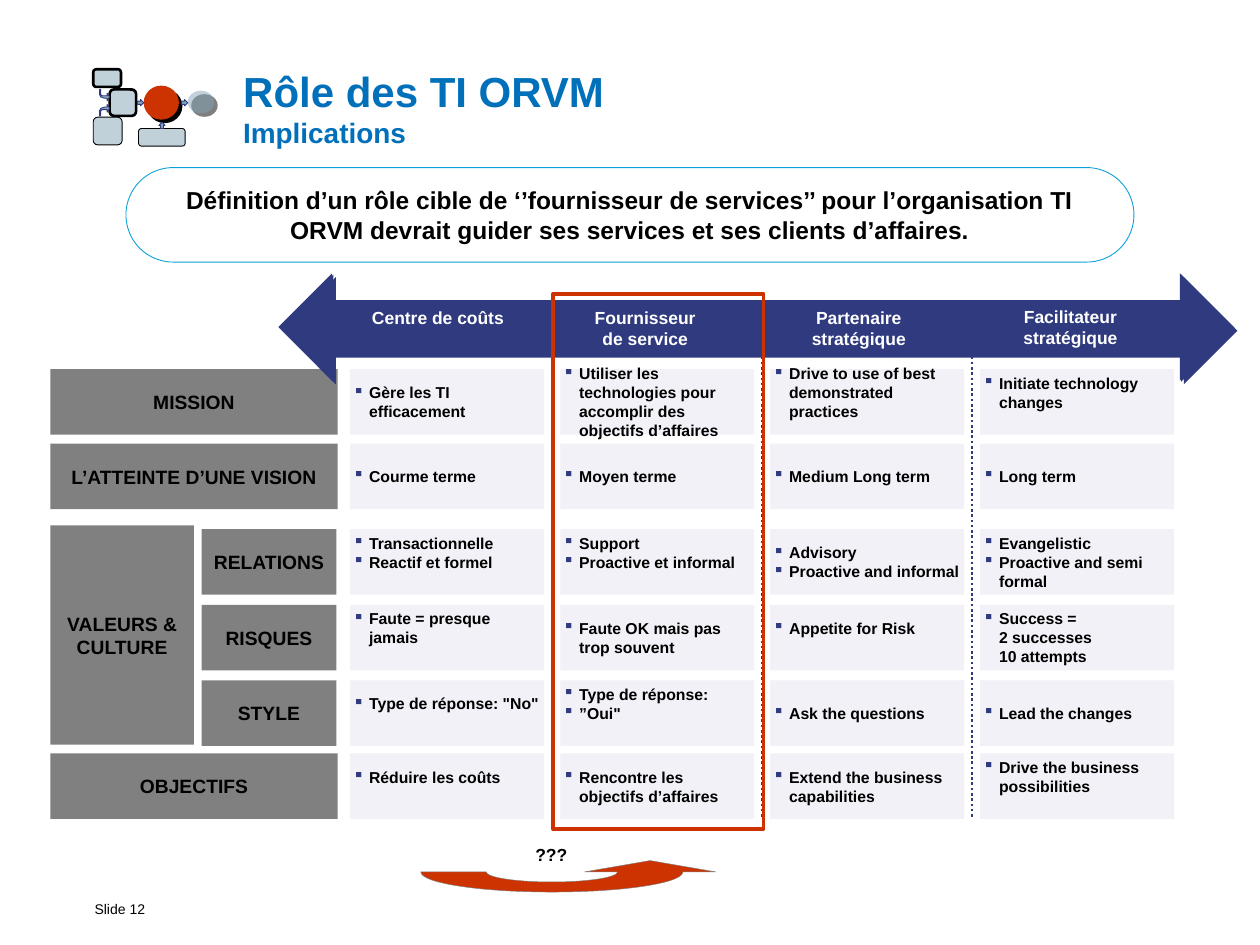
from dataclasses import dataclass
from math import cos, pi, sin
from lxml.etree import SubElement
from pptx import Presentation
from pptx.dml.color import RGBColor
from pptx.enum.dml import MSO_LINE
from pptx.enum.shapes import MSO_CONNECTOR, MSO_SHAPE
from pptx.enum.text import MSO_ANCHOR, MSO_AUTO_SIZE, PP_ALIGN
from pptx.oxml.ns import qn
from pptx.util import Inches, Pt


@dataclass
class Theme:
    font: str = "Arial"
    navy: str = "2F3A7F"
    blue: str = "0070BA"
    sky: str = "0CA2D6"
    red: str = "CC3300"
    grey: str = "808080"
    pale: str = "F1F1F7"
    steel: str = "83A4B6"
    black: str = "000000"
    white: str = "FFFFFF"
    title: int = 24
    sub: int = 16
    lead: int = 14
    label: int = 11
    head: int = 10
    cell: int = 9
    foot: int = 8


def paint(shape, fill=None, line=None, width=0.5, alpha=100):
    shape.shadow.inherit = False
    if fill:
        shape.fill.solid()
        shape.fill.fore_color.rgb = RGBColor.from_string(fill)
        if alpha < 100:
            color = shape.fill._xPr.find(".//" + qn("a:srgbClr"))
            SubElement(color, qn("a:alpha"), val=str(alpha * 1000))
    else:
        shape.fill.background()
    if line:
        shape.line.color.rgb = RGBColor.from_string(line)
        shape.line.width = Pt(width)
    else:
        shape.line.fill.background()
    return shape


def write(shape, lines, size, color, align=PP_ALIGN.CENTER, pad=(0, 0, 0, 0),
          wrap=True, anchor=MSO_ANCHOR.MIDDLE, bold=True, bullet=False):
    frame = shape.text_frame
    frame.word_wrap = wrap
    frame.vertical_anchor = anchor
    frame.margin_left, frame.margin_top, frame.margin_right, frame.margin_bottom = map(Inches, pad)
    for i, line in enumerate(lines):
        para = frame.add_paragraph() if i else frame.paragraphs[0]
        para.text = line
        para.alignment = align
        if bullet:
            props = para._p.get_or_add_pPr()
            props.set("marL", str(Inches(0.13)))
            props.set("indent", str(-Inches(0.13)))
            tint = SubElement(props, qn("a:buClr"))
            SubElement(tint, qn("a:srgbClr"), val=theme.navy)
            SubElement(props, qn("a:buChar"), char="▪")
        para.font.name = theme.font
        para.font.size = Pt(size)
        para.font.bold = bold
        para.font.color.rgb = RGBColor.from_string(color)


theme = Theme()
deck = Presentation()
deck.slide_width, deck.slide_height = Inches(10), Inches(7.5)
slide = deck.slides.add_slide(deck.slide_layouts[5])
shapes = slide.shapes

cols = [2.78 + 5 / 3 * i for i in range(4)]
rows = [2.93, 3.52, 4.2, 4.8, 5.4, 5.98]
wide, high = 1.54, 0.52

title = shapes.title
title.left, title.top, title.width, title.height = map(Inches, (1.93, 0.52, 7.4, 0.64))
write(title, ["Rôle des TI ORVM\nImplications"], theme.title, theme.blue,
      PP_ALIGN.LEFT, anchor=MSO_ANCHOR.TOP)
title.text_frame.auto_size = MSO_AUTO_SIZE.NONE
title.text_frame.paragraphs[0].runs[1].font.size = Pt(theme.sub)

labels = [
    ("MISSION", 0.4, rows[0], 2.28, high),
    ("L’ATTEINTE D’UNE VISION", 0.4, rows[1], 2.28, high),
    ("VALEURS & CULTURE", 0.4, 4.17, 1.14, 1.74),
    ("RELATIONS", 1.6, rows[2], 1.07, high),
    ("RISQUES", 1.6, rows[3], 1.07, high),
    ("STYLE", 1.6, rows[4], 1.07, high),
    ("OBJECTIFS", 0.4, rows[5], 2.28, high),
]
for text, *area in labels:
    box = paint(shapes.add_shape(MSO_SHAPE.RECTANGLE, *map(Inches, area)), theme.grey)
    write(box, [text], theme.label, theme.black, pad=(0.03, 0.05, 0.03, 0.05))

cells = [
    [["Gère les TI efficacement"],
     ["Utiliser les technologies pour accomplir des objectifs d’affaires"],
     ["Drive to use of best demonstrated practices"],
     ["Initiate technology changes"]],
    [["Courme terme"], ["Moyen terme"], ["Medium Long term"], ["Long term"]],
    [["Transactionnelle", "Reactif et formel"],
     ["Support", "Proactive et informal"],
     ["Advisory", "Proactive and informal"],
     ["Evangelistic", "Proactive and semi formal"]],
    [["Faute = presque jamais"],
     ["Faute OK mais pas trop souvent"],
     ["Appetite for Risk"],
     ["Success =\n2 successes\n10 attempts"]],
    [['Type de réponse: "No"'],
     ["Type de réponse:", '”Oui"'],
     ["Ask the questions"],
     ["Lead the changes"]],
    [["Réduire les coûts"],
     ["Rencontre les objectifs d’affaires"],
     ["Extend the business capabilities"],
     ["Drive the business possibilities"]],
]
raised = {(0, 2), (0, 3), (2, 0), (2, 1), (3, 0), (3, 2), (4, 0), (4, 1), (5, 0), (5, 3)}
for r, top in enumerate(rows):
    for c, left in enumerate(cols):
        box = shapes.add_shape(MSO_SHAPE.RECTANGLE, *map(Inches, (left, top, wide, high)))
        paint(box, theme.pale)
        base = 0.2 if (r, c) in raised else 0.05
        write(box, cells[r][c], theme.cell, theme.black, PP_ALIGN.LEFT,
              (0.02, 0.05, 0.02, base), bullet=True)

for step in (0, 0.03, 0.01):
    arrow = shapes.add_shape(MSO_SHAPE.LEFT_RIGHT_ARROW,
                             *map(Inches, (2.21 + step, 2.17 + step, 7.58, 0.85)))
    paint(arrow, theme.navy)

heads = [
    (["Centre de coûts"], 2.95, 2.44, 1.05, 0.17),
    (["Fournisseur", "de service"], 4.72, 2.44, 0.8, 0.33),
    (["Partenaire", "stratégique"], 6.44, 2.44, 0.75, 0.33),
    (["Facilitateur", "stratégique"], 8.12, 2.43, 0.75, 0.33),
]
for lines, *area in heads:
    box = shapes.add_textbox(*map(Inches, area))
    write(box, lines, theme.head, theme.white, wrap=False, anchor=MSO_ANCHOR.TOP)

for left in cols[1:]:
    x = Inches(left - 0.065)
    rule = shapes.add_connector(MSO_CONNECTOR.STRAIGHT, x, Inches(2.83), x, Inches(6.5))
    rule.line.color.rgb = RGBColor.from_string(theme.navy)
    rule.line.width = Pt(1.5)
    rule.line.dash_style = MSO_LINE.ROUND_DOT
    SubElement(rule._element.spPr, qn("a:effectLst"))

focus = shapes.add_shape(MSO_SHAPE.RECTANGLE, *map(Inches, (4.39, 2.33, 1.67, 4.25)))
paint(focus, None, theme.red, 2.25)

lead = shapes.add_shape(MSO_SHAPE.ROUNDED_RECTANGLE, *map(Inches, (1, 1.33, 8, 0.75)))
lead.adjustments[0] = 0.5
paint(lead, theme.white, theme.sky)
write(lead, ["Définition d’un rôle cible de ‘’fournisseur de services’’ pour l’organisation TI "
             "ORVM devrait guider ses services et ses clients d’affaires."],
      theme.lead, theme.black, pad=(0.1, 0.05, 0.1, 0.05))

ROUND, OVAL, DOWN = MSO_SHAPE.ROUNDED_RECTANGLE, MSO_SHAPE.OVAL, MSO_SHAPE.DOWN_ARROW
nodes = [
    (ROUND, theme.steel, 50, theme.black, 1.5, 0, (0.74, 0.55, 0.22, 0.14)),
    (ROUND, theme.steel, 50, theme.black, 0.5, 0, (1.1, 1.02, 0.37, 0.14)),
    (OVAL, theme.red, 100, None, 0, 0, (1.14, 0.68, 0.28, 0.27)),
    (ROUND, theme.steel, 50, theme.black, 1.5, 0, (0.87, 0.71, 0.21, 0.21)),
    (OVAL, theme.steel, 50, None, 0, 0, (1.49, 0.72, 0.21, 0.18)),
    (ROUND, theme.steel, 50, theme.black, 0.5, 0, (0.74, 0.93, 0.23, 0.22)),
    (DOWN, theme.steel, 100, theme.navy, 0.5, 270, (1.44, 0.79, 0.05, 0.05)),
    (DOWN, theme.steel, 100, theme.navy, 0.5, 270, (1.09, 0.79, 0.05, 0.05)),
    (DOWN, theme.steel, 100, theme.navy, 0.5, 180, (1.26, 0.97, 0.05, 0.05)),
]
for kind, fill, alpha, line, width, turn, area in nodes:
    node = shapes.add_shape(kind, *map(Inches, area))
    node.rotation = turn
    paint(node, fill, line, width, alpha)
    if kind == OVAL:
        effect = node._element.spPr.find(qn("a:effectLst"))
        shade = SubElement(effect, qn("a:outerShdw"), dist=str(Pt(2.8)), dir="2700000")
        SubElement(shade, qn("a:srgbClr"), val=theme.black)

bend = [(0.87, 0), (0.85, -0.03), (0.85, -0.01), (0.83, -0.01), (0.8, 0), (0.79, 0.02),
        (0.79, 0.06), (0.8, 0.06), (0.8, 0.02), (0.81, 0.01), (0.85, 0.01), (0.85, 0.03)]
for tip, way in ((0.86, 1), (0.77, -1)):
    dots = [(Inches(x), Inches(tip + way * y)) for x, y in bend]
    pen = shapes.build_freeform(*dots[0])
    pen.add_line_segments(dots[1:])
    paint(pen.convert_to_shape(), theme.steel, theme.navy)

turns = [pi * i / 40 for i in range(41)]
inner = [(4.38 + 0.52 * cos(t), 6.92 + 0.08 * sin(t)) for t in turns]
outer = [(4.38 - 1.04 * cos(t), 6.92 + 0.16 * sin(t)) for t in turns]
swoop = [(Inches(x), Inches(y))
         for x, y in inner + outer + [(5.68, 6.92), (5.16, 6.83), (4.64, 6.92)]]
pen = shapes.build_freeform(*swoop[0])
pen.add_line_segments(swoop[1:])
paint(pen.convert_to_shape(), theme.red, theme.grey, 0.25)

query = shapes.add_textbox(*map(Inches, (4.15, 6.65, 0.46, 0.27)))
write(query, ["???"], theme.head, theme.black, PP_ALIGN.LEFT, (0.1, 0.05, 0.1, 0.05),
      False, MSO_ANCHOR.TOP)

foot = shapes.add_textbox(*map(Inches, (0.75, 7.12, 0.52, 0.21)))
write(foot, ["Slide 12"], theme.foot, theme.black, PP_ALIGN.LEFT, (0, 0.05, 0.1, 0.05),
      False, MSO_ANCHOR.TOP, False)
foot.text_frame.paragraphs[0].line_spacing = 0.85

deck.save("out.pptx")
